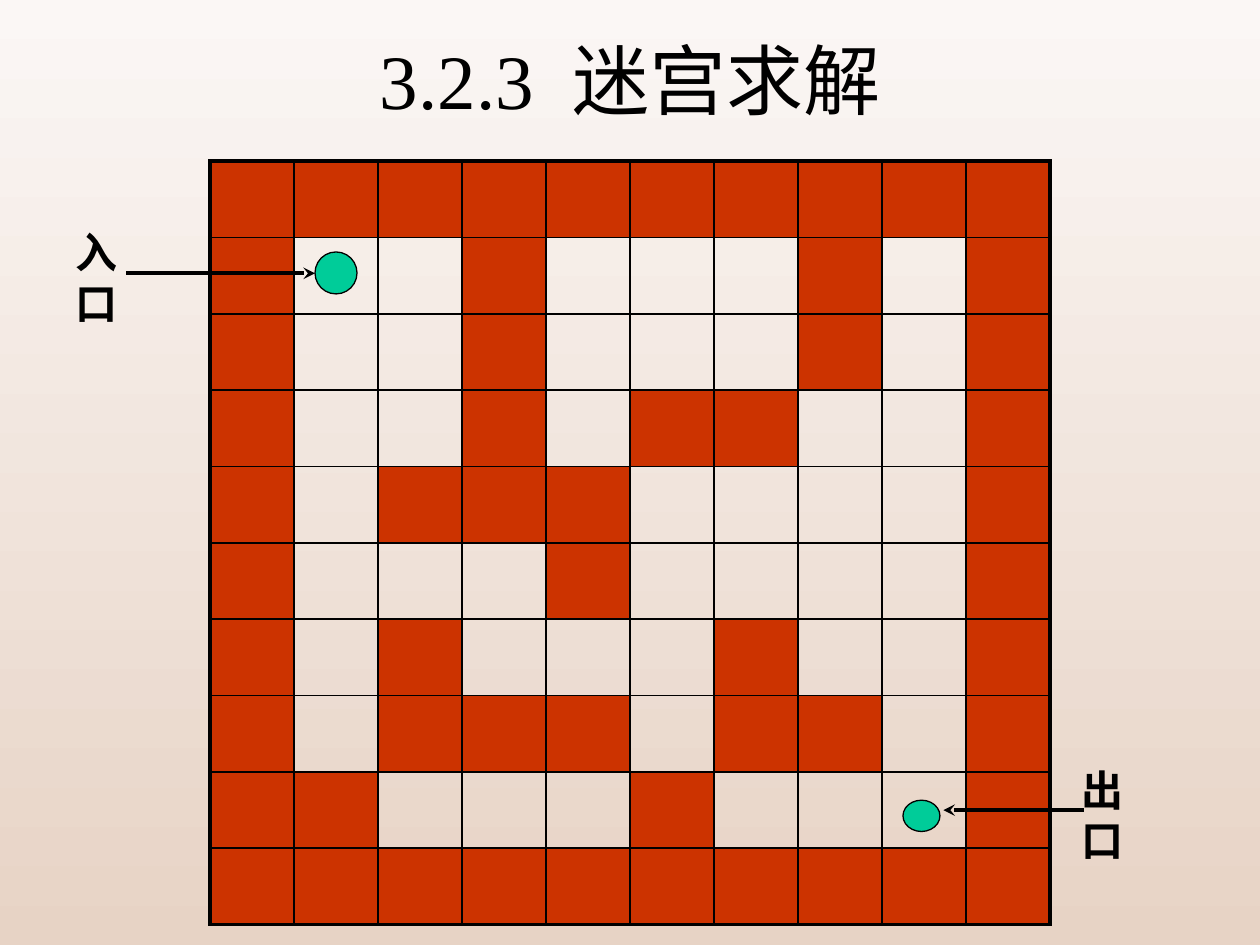
"""Build the maze-solving slide: a 10 by 10 maze with its entrance and exit."""
from lxml import etree
from pptx import Presentation, util as u
from pptx.dml.color import RGBColor
from pptx.enum import shapes, text
from pptx.oxml import parse_xml
from pptx.oxml.ns import nsdecls, qn

BLACK = RGBColor(0x00, 0x00, 0x00)
WALL = RGBColor(0xCC, 0x33, 0x00)
MARKER = RGBColor(0x00, 0xCC, 0x99)
SKY = RGBColor(0xFB, 0xF7, 0xF5)
SAND = RGBColor(0xE7, 0xD3, 0xC5)

MAZE = [
    "##########",
    "#..#...#.#",
    "#..#...#.#",
    "#..#.##..#",
    "#.###....#",
    "#...#....#",
    "#.#...#..#",
    "#.###.##.#",
    "##...#...#",
    "##########",
]
SIZE = len(MAZE)

deck = Presentation()
deck.slide_width, deck.slide_height = u.Inches(10), u.Inches(7.5)
COLUMN = deck.slide_width / 15
ROW = deck.slide_height * 0.0808


def grid(*lengths):
    """Turn alternating column and row counts into lengths."""
    return [u.Emu(int(n * (ROW if i % 2 else COLUMN))) for i, n in enumerate(lengths)]


def write(place, spans, anchor, align, font):
    """Add a wrapped text box whose spans are (words, letter spacing)."""
    box = page.shapes.add_textbox(*grid(*place))
    box.text_frame.word_wrap = True
    box.text_frame.vertical_anchor = anchor
    para = box.text_frame.paragraphs[0]
    para.alignment = align
    for words, spacing in spans:
        span = para.add_run()
        span.text = words
        for name, value in font.items():
            setattr(span.font, name, value)
        span.font.color.rgb = BLACK
        if spacing:
            span.font._element.set("spc", str(spacing))


page = deck.slides.add_slide(deck.slide_layouts[6])
backdrop = page.background.fill
backdrop.gradient()
backdrop.gradient_angle = 270
for stop, colour, position in zip(backdrop.gradient_stops, (SKY, SAND), (0, 1)):
    stop.color.rgb = colour
    stop.position = position

write((1.13, 0, 12.75, 2.06), [("3.2.3", 0), (" ", 1100), ("迷宫求解", 0)],
      text.MSO_ANCHOR.MIDDLE, text.PP_ALIGN.CENTER,
      {"name": "Times New Roman", "size": u.Pt(44)})

maze = page.shapes.add_table(SIZE, SIZE, *grid(2.5, 2.11, SIZE, SIZE)).table
maze.first_row = maze.horz_banding = False
for r, line in enumerate(MAZE):
    for c, mark in enumerate(line):
        cell = maze.cell(r, c)
        outer = {"L": c == 0, "R": c == SIZE - 1, "T": r == 0, "B": r == SIZE - 1}
        for side, thick in outer.items():
            width = u.Pt(2.25 if thick else 1)
            cell._tc.get_or_add_tcPr().append(parse_xml(
                f'<a:ln{side} {nsdecls("a")} w="{width}"><a:solidFill>'
                f'<a:srgbClr val="{BLACK}"/></a:solidFill></a:ln{side}>'))
        if mark == "#":
            cell.fill.solid()
            cell.fill.fore_color.rgb = WALL
        else:
            cell.fill.background()

GATES = [
    {"label": "出口", "label_at": (12.73, 9.93, 0.88, 1.49),
     "kind": shapes.MSO_SHAPE.OVAL, "marker_at": (10.75, 10.48, 0.44, 0.41),
     "arrow": (11.23, 10.61, 12.9, 10.61), "tip": "headEnd"},
    {"label": "入口", "label_at": (0.75, 2.89, 1, 1.49),
     "kind": shapes.MSO_SHAPE.FLOWCHART_CONNECTOR, "marker_at": (3.75, 3.3, 0.5, 0.55),
     "arrow": (1.5, 3.58, 3.75, 3.58), "tip": "tailEnd"},
]
for gate in GATES:
    marker = page.shapes.add_shape(gate["kind"], *grid(*gate["marker_at"]))
    marker.shadow.inherit = False
    marker.fill.solid()
    marker.fill.fore_color.rgb = MARKER
    marker.line.color.rgb = BLACK
    marker.line.width = u.Pt(0.75)

    arrow = page.shapes.add_connector(shapes.MSO_CONNECTOR.STRAIGHT, *grid(*gate["arrow"]))
    arrow.line.color.rgb = BLACK
    arrow.line.width = u.Pt(2.25)
    etree.SubElement(arrow.line._get_or_add_ln(), qn("a:" + gate["tip"]), type="stealth")
    etree.SubElement(arrow._element.spPr, qn("a:effectLst"))

    write(gate["label_at"], [(gate["label"], 0)],
          text.MSO_ANCHOR.TOP, text.PP_ALIGN.LEFT,
          {"name": "Times New Roman", "size": u.Pt(24), "bold": True})

deck.save("out.pptx")
